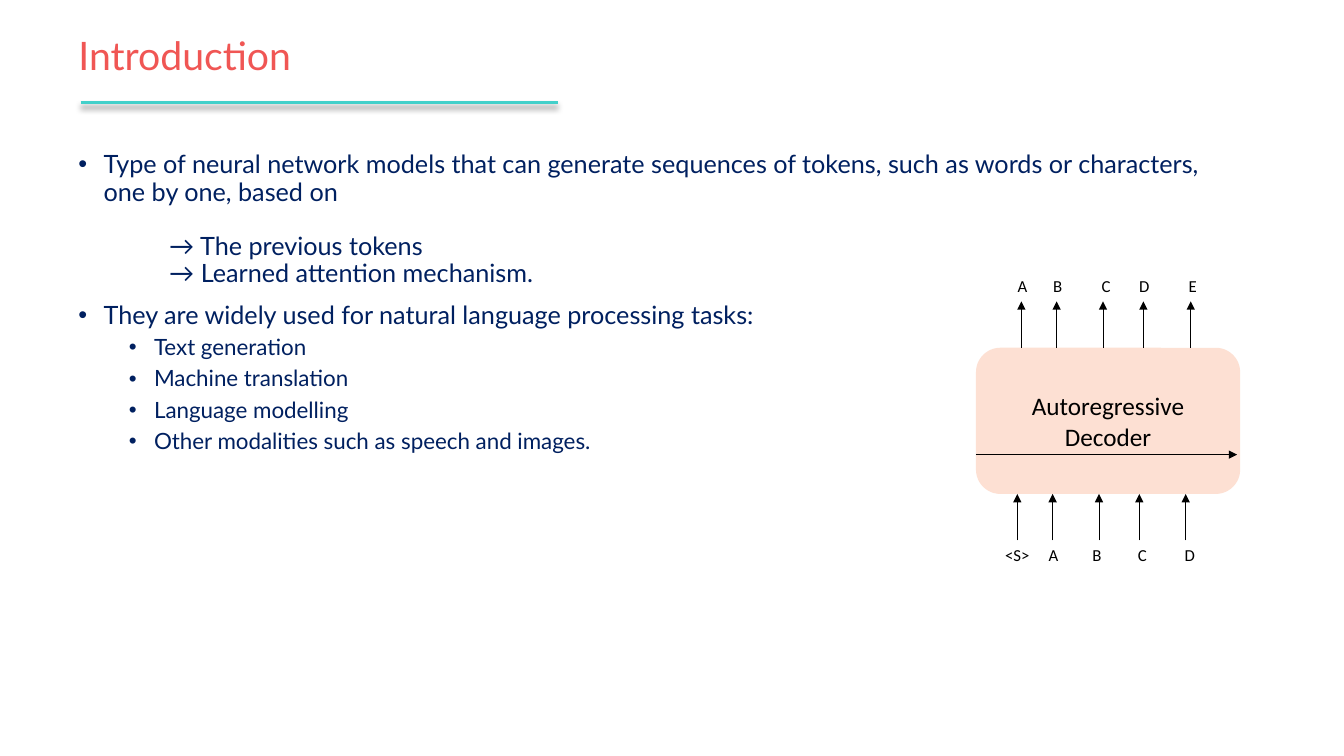
from lxml.etree import SubElement
from pptx import Presentation
from pptx.dml.color import RGBColor
from pptx.enum.shapes import MSO_CONNECTOR as Connector, MSO_SHAPE as Shape
from pptx.enum.text import MSO_ANCHOR as Anchor, PP_ALIGN as Align
from pptx.oxml.ns import qn
from pptx.util import Emu, Inches, Pt

COLORS = {"title": "F05654", "body": "002060", "rule": "43D0CA",
          "decoder": "FDE0D3", "ink": "000000"}

TITLE = "Introduction"
# (style, text)
BODY = [
    ("point", "Type of neural network models that can generate sequences of tokens, "
              "such as words or characters, one by one, based on"),
    ("first_basis", "→ The previous tokens"),
    ("basis", "→ Learned attention mechanism."),
    ("point", "They are widely used for natural language processing tasks:"),
    ("task", "Text generation"),
    ("task", "Machine translation"),
    ("task", "Language modelling"),
    ("task", "Other modalities such as speech and images."),
]
# style: (size, space before, left margin, hanging indent, level)
STYLES = {
    "point": (18, 10, 0.25, 0.25, 0),
    "first_basis": (18, 19.5, 0.9, 0, 0),
    "basis": (18, 0, 0.9, 0, 0),
    "task": (16, 5, 0.75, 0.25, 1),
}
DECODER_LINES = ["Autoregressive", "Decoder"]
# (token, arrow x, label centre x)
INPUTS = [("<S>", 10.09, 10.09), ("A", 10.44, 10.45), ("B", 10.9, 10.88),
          ("C", 11.3, 11.33), ("D", 11.76, 11.8)]
OUTPUTS = [("A", 10.13, 10.14), ("B", 10.48, 10.49), ("C", 10.94, 10.97),
           ("D", 11.34, 11.35), ("E", 11.81, 11.83)]

TEXT_LEFT, TEXT_WIDTH = 0.68, 11.5
DECODER_LEFT, DECODER_TOP, DECODER_WIDTH, DECODER_HEIGHT = 9.68, 3.45, 2.62, 1.45
DECODER_BOTTOM = DECODER_TOP + DECODER_HEIGHT
ARROW = 0.46
LABEL_WIDTH, LABEL_HEIGHT = 0.48, 0.3

presentation = Presentation()
presentation.slide_width, presentation.slide_height = Inches(13.33), Inches(7.5)
slide = presentation.slides.add_slide(presentation.slide_layouts[6])


def rgb(name):
    return RGBColor.from_string(COLORS[name])


def write(paragraph, text, size, font, color, **formats):
    for name, value in formats.items():
        setattr(paragraph, name, value)
    run = paragraph.add_run()
    run.text = text
    for name, value in {"size": Pt(size), "name": font}.items():
        setattr(run.font, name, value)
    run.font.color.rgb = rgb(color)


def add_text_frame(left, top, width, height, anchor=Anchor.TOP):
    box = slide.shapes.add_textbox(*map(Inches, (left, top, width, height)))
    frame = box.text_frame
    frame.word_wrap = True
    frame.vertical_anchor = anchor
    return frame


def paragraphs(frame, count):
    """Return count paragraphs, the first being the one already there."""
    return [frame.paragraphs[0]] + [frame.add_paragraph() for _ in range(count - 1)]


def add_line(x1, y1, x2, y2, color="ink", width=0.5, arrow=True):
    """Draw a line and return its empty effect list."""
    line = slide.shapes.add_connector(Connector.STRAIGHT, *map(Inches, (x1, y1, x2, y2)))
    line.line.color.rgb = rgb(color)
    line.line.width = Pt(width)
    if arrow:
        SubElement(line.line._get_or_add_ln(), qn("a:tailEnd"), type="triangle")
    return SubElement(line._element.spPr, qn("a:effectLst"))


def add_tokens(tokens, arrow_start, label_top):
    for token, arrow_x, label_x in tokens:
        add_line(arrow_x, arrow_start, arrow_x, arrow_start - ARROW)
        frame = add_text_frame(label_x - LABEL_WIDTH / 2, label_top, LABEL_WIDTH, LABEL_HEIGHT)
        write(frame.paragraphs[0], token, 12, "Calibri", "ink", alignment=Align.CENTER)


# Title and its underline
effects = add_line(0.8, 1.02, 5.53, 1.02, "rule", 2.25, arrow=False)
shadow = SubElement(effects, qn("a:outerShdw"), blurRad=str(Pt(4)), dist=str(Pt(3)),
                    dir="5400000", rotWithShape="0")
shade = SubElement(shadow, qn("a:srgbClr"), val=COLORS["ink"])
SubElement(shade, qn("a:alpha"), val="40000")
title = add_text_frame(TEXT_LEFT, 0, TEXT_WIDTH, 1.15, Anchor.MIDDLE)
write(title.paragraphs[0], TITLE, 28, "Lato", "title", line_spacing=0.9)

# Bulleted text
body = add_text_frame(TEXT_LEFT, 1.46, TEXT_WIDTH, 5.86)
for index, (paragraph, (style, text)) in enumerate(zip(paragraphs(body, len(BODY)), BODY)):
    size, before, margin, hanging, level = STYLES[style]
    properties = paragraph._p.get_or_add_pPr()
    properties.set("marL", str(Inches(margin)))
    properties.set("indent", str(Emu(-Inches(hanging))))
    if hanging:
        SubElement(properties, qn("a:buFont"), typeface="Arial")
        SubElement(properties, qn("a:buChar"), char="•")
    write(paragraph, text, size, "Lato", "body", level=level, line_spacing=0.9,
          space_before=Pt(before if index else 0))

# Decoder with its input and output tokens
decoder = slide.shapes.add_shape(Shape.ROUNDED_RECTANGLE, *map(Inches, (
    DECODER_LEFT, DECODER_TOP, DECODER_WIDTH, DECODER_HEIGHT)))
decoder.shadow.inherit = False
decoder.fill.solid()
decoder.fill.fore_color.rgb = rgb("decoder")
decoder.line.fill.background()
decoder.text_frame.vertical_anchor = Anchor.MIDDLE
for paragraph, text in zip(paragraphs(decoder.text_frame, len(DECODER_LINES)), DECODER_LINES):
    write(paragraph, text, 18, "Calibri", "ink", alignment=Align.CENTER)

add_tokens(INPUTS, DECODER_BOTTOM + ARROW, DECODER_BOTTOM + ARROW)
add_tokens(OUTPUTS, DECODER_TOP, DECODER_TOP - ARROW - LABEL_HEIGHT)
add_line(DECODER_LEFT, 4.51, 12.27, 4.51)

presentation.save("out.pptx")
